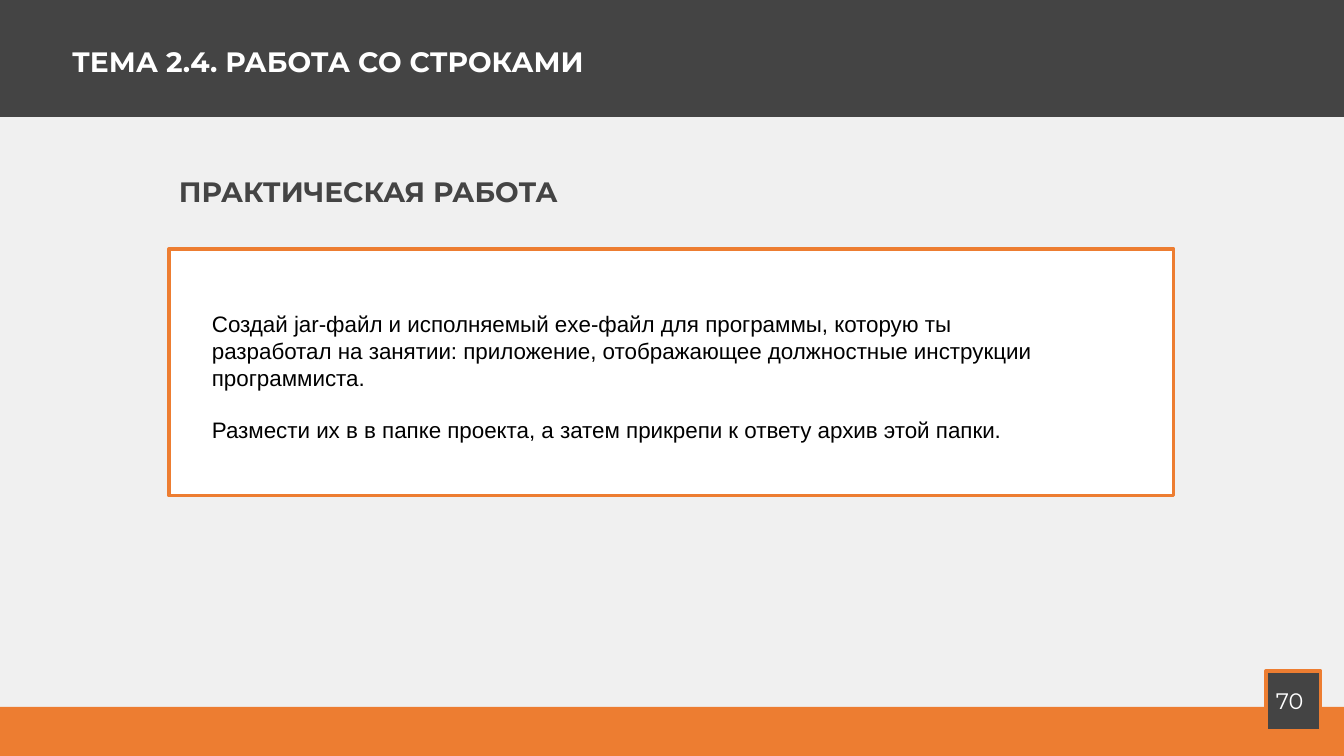
from lxml import etree
from pptx import Presentation
from pptx.dml.color import RGBColor
from pptx.enum.shapes import MSO_SHAPE
from pptx.enum.text import MSO_ANCHOR, MSO_AUTO_SIZE, PP_ALIGN
from pptx.oxml.ns import qn
from pptx.util import Emu, Pt

RECTANGLE = MSO_SHAPE.RECTANGLE
TOP = MSO_ANCHOR.TOP
NO_AUTOFIT = MSO_AUTO_SIZE.NONE
LEFT = PP_ALIGN.LEFT

# Content
TITLE = "ТЕМА 2.4. РАБОТА СО СТРОКАМИ"
SUBHEADING = "ПРАКТИЧЕСКАЯ РАБОТА"
TASK = [
    "Создай jar-файл и исполняемый exe-файл для программы, которую ты "
    "разработал на занятии: приложение, отображающее должностные "
    "инструкции программиста.",
    "Размести их в в папке проекта, а затем прикрепи к ответу архив этой папки.",
]
PAGE_NUMBER = "70"

COLORS = {"dark": "444444", "orange": "ED7D31", "white": "FFFFFF", "black": "000000"}

# Layout in px
WIDTH, HEIGHT = 1344, 756
EMU_PER_PX = 12192000 / WIDTH
FOOTER_TOP = 707
# box, fill, opacity in percent, outline
RECTANGLES = [
    ((0, 108, WIDTH, 623), "dark", 8, None),
    ((169, 249, 1005, 247), "white", 100, "orange"),
    ((0, FOOTER_TOP, WIDTH, HEIGHT - FOOTER_TOP), "orange", 100, None),
    ((0, 0, WIDTH, 117), "dark", 100, None),
    ((1266, 671, 55, 60), "dark", 100, "orange"),
]
# box, paragraphs, font, size, color, bold, line spacing, space between
TEXTS = [
    ((1266, 682, 55, 36), [PAGE_NUMBER], "Montserrat", 16, "white", False, 1.01, 0),
    ((202, 305, 870, 146), TASK, "Arial", 16, "black", False, 1.0, 18.4),
    ((169, 167, 902, 46), [SUBHEADING], "Montserrat", 20, "dark", True, 1.07, 0),
]
TITLE_TEXT = ((62, 37, 902, 46), [TITLE], "Montserrat", 20, "white", True, 1.07, 0)


def emu(box):
    return [Emu(round(length * EMU_PER_PX)) for length in box]


def color(name):
    return RGBColor.from_string(COLORS[name])


def add_rectangle(slide, box, fill, opacity, outline):
    shape = slide.shapes.add_shape(RECTANGLE, *emu(box))
    shape.shadow.inherit = False
    shape.fill.solid()
    shape.fill.fore_color.rgb = color(fill)
    if opacity < 100:
        fill_color = shape.fill._xPr.find(qn("a:solidFill"))[0]
        etree.SubElement(fill_color, qn("a:alpha")).set("val", str(opacity * 1000))
    if outline:
        shape.line.color.rgb = color(outline)
        shape.line.width = Pt(2.25)
    else:
        shape.line.fill.background()


def write_text(shape, box, lines, font, size, color_name, bold, spacing, gap):
    shape.left, shape.top, shape.width, shape.height = emu(box)
    frame = shape.text_frame
    frame.text = "\n".join(lines)
    frame.word_wrap = True
    frame.auto_size = NO_AUTOFIT
    frame.vertical_anchor = TOP
    for index, paragraph in enumerate(frame.paragraphs):
        paragraph.alignment = LEFT
        paragraph.line_spacing = spacing
        paragraph.space_before = Pt(gap if index else 0)
        for run in paragraph.runs:
            run.font.name = font
            run.font.size = Pt(size)
            run.font.bold = bold
            run.font.color.rgb = color(color_name)


presentation = Presentation()
presentation.slide_width, presentation.slide_height = emu((WIDTH, HEIGHT))
slide = presentation.slides.add_slide(presentation.slide_layouts[5])

# Bands, card and page badge
for rectangle in RECTANGLES:
    add_rectangle(slide, *rectangle)

# Title, raised above the header band
title = slide.shapes.title
slide.shapes._spTree.append(title._element)
write_text(title, *TITLE_TEXT)

# Page number, task and subheading
for text in TEXTS:
    write_text(slide.shapes.add_textbox(*emu(text[0])), *text)

presentation.save("out.pptx")
